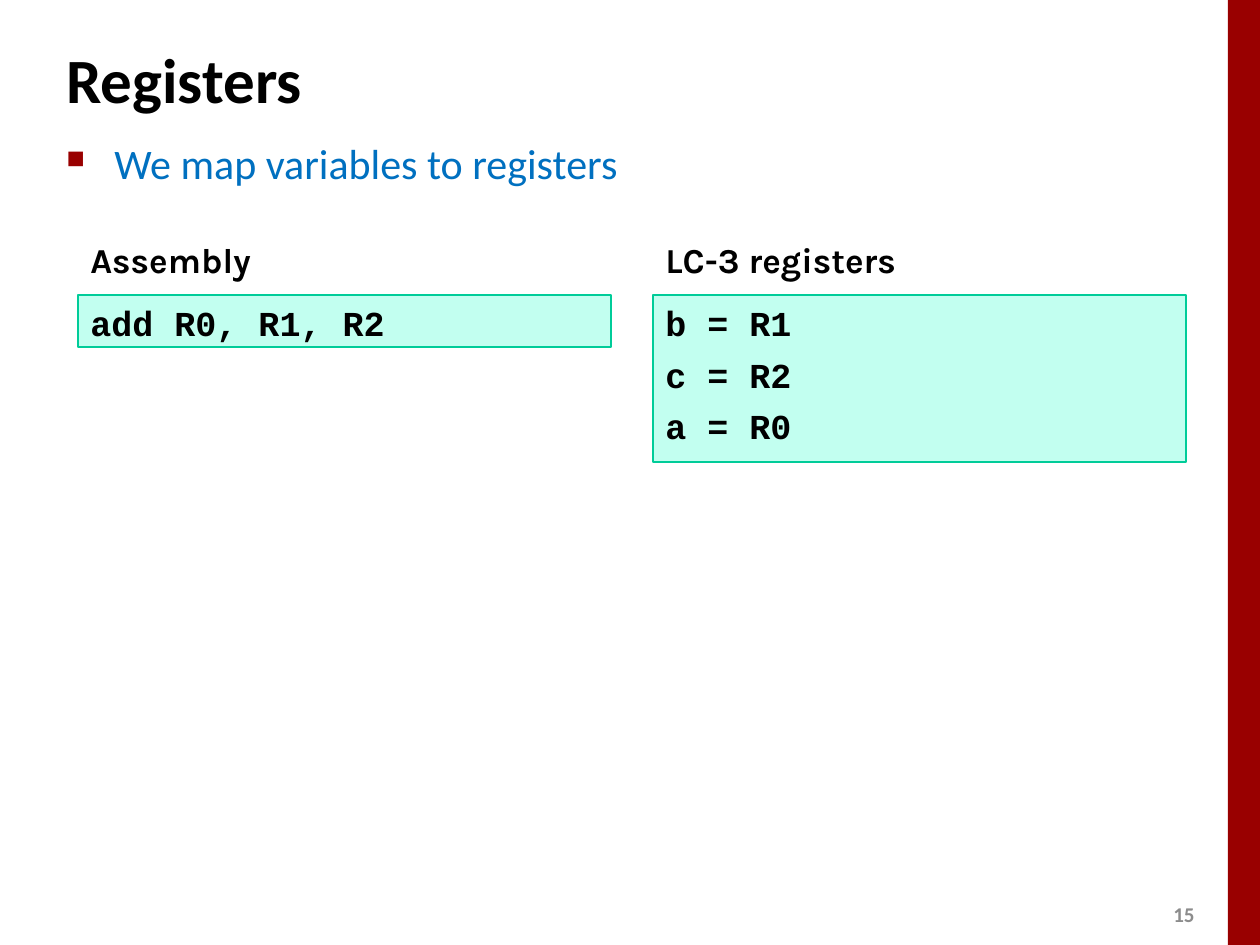
"""Build the slide that maps variables to LC-3 registers."""
from lxml.etree import SubElement
from pptx import Presentation
from pptx.dml.color import RGBColor
from pptx.enum.shapes import MSO_SHAPE as Kind
from pptx.enum.text import MSO_ANCHOR as Anchor, PP_ALIGN as Align
from pptx.oxml.ns import qn
from pptx.util import Pt

PX = 914400 // 126


def hue(code):
    return RGBColor.from_string(code)


def write(shape, lines, font, size, color="000000", bold=True, gap=0, anchor=Anchor.TOP):
    frame = shape.text_frame
    frame.word_wrap = True
    frame.vertical_anchor = anchor
    for i, line in enumerate(lines):
        para = frame.paragraphs[0] if i == 0 else frame.add_paragraph()
        para.alignment = Align.LEFT
        para.space_before = Pt(gap)
        run = para.add_run()
        run.text = line
        run.font.name = font
        run.font.size = Pt(size)
        run.font.bold = bold
        run.font.color.rgb = hue(color)
    return frame.paragraphs[0]


deck = Presentation()
deck.slide_width, deck.slide_height = 1260 * PX, 945 * PX
slide = deck.slides.add_slide(deck.slide_layouts[6])
shapes = slide.shapes

bar = shapes.add_shape(Kind.RECTANGLE, 1228 * PX, 0, 32 * PX, 945 * PX)
bar.shadow.inherit = False
bar.fill.solid()
bar.fill.fore_color.rgb = hue("990000")
bar.line.fill.background()

page = shapes.add_textbox(1159 * PX, 895 * PX, 50 * PX, 38 * PX)
write(page, ["15"], "Calibri", 12, "8C8C8C", anchor=Anchor.MIDDLE).alignment = Align.CENTER

title = shapes.add_textbox(54 * PX, 26 * PX, 1046 * PX, 105 * PX)
write(title, ["Registers"], "Calibri", 36, anchor=Anchor.MIDDLE)

body = shapes.add_textbox(54 * PX, 131 * PX, 1089 * PX, 748 * PX)
point = write(body, ["We map variables to registers"], "Calibri", 24, "0070C0", False, 5.8)
props = point._p.get_or_add_pPr()
props.set("marL", str(48 * PX))
props.set("indent", str(-48 * PX))
SubElement(SubElement(props, qn("a:buClr")), qn("a:srgbClr"), val="990000")
SubElement(props, qn("a:buSzPct"), val="60000")
SubElement(props, qn("a:buChar"), char="■")

panels = [
    (78, 52, "Assembly", ["add R0, R1, R2"]),
    (653, 167, "LC-3 registers", ["b = R1", "c = R2", "a = R0"]),
]
for left, high, head, code in panels:
    box = shapes.add_shape(Kind.RECTANGLE, left * PX, 295 * PX, 533 * PX, high * PX)
    box.shadow.inherit = False
    box.fill.solid()
    box.fill.fore_color.rgb = hue("C2FFF0")
    box.line.color.rgb = hue("00CC99")
    box.line.width = Pt(1)
    write(box, code, "Courier New", 20, gap=5.6)
    label = shapes.add_textbox(left * PX, 232 * PX, 533 * PX, 63 * PX)
    write(label, [head], "Karla", 20)

deck.save("out.pptx")
